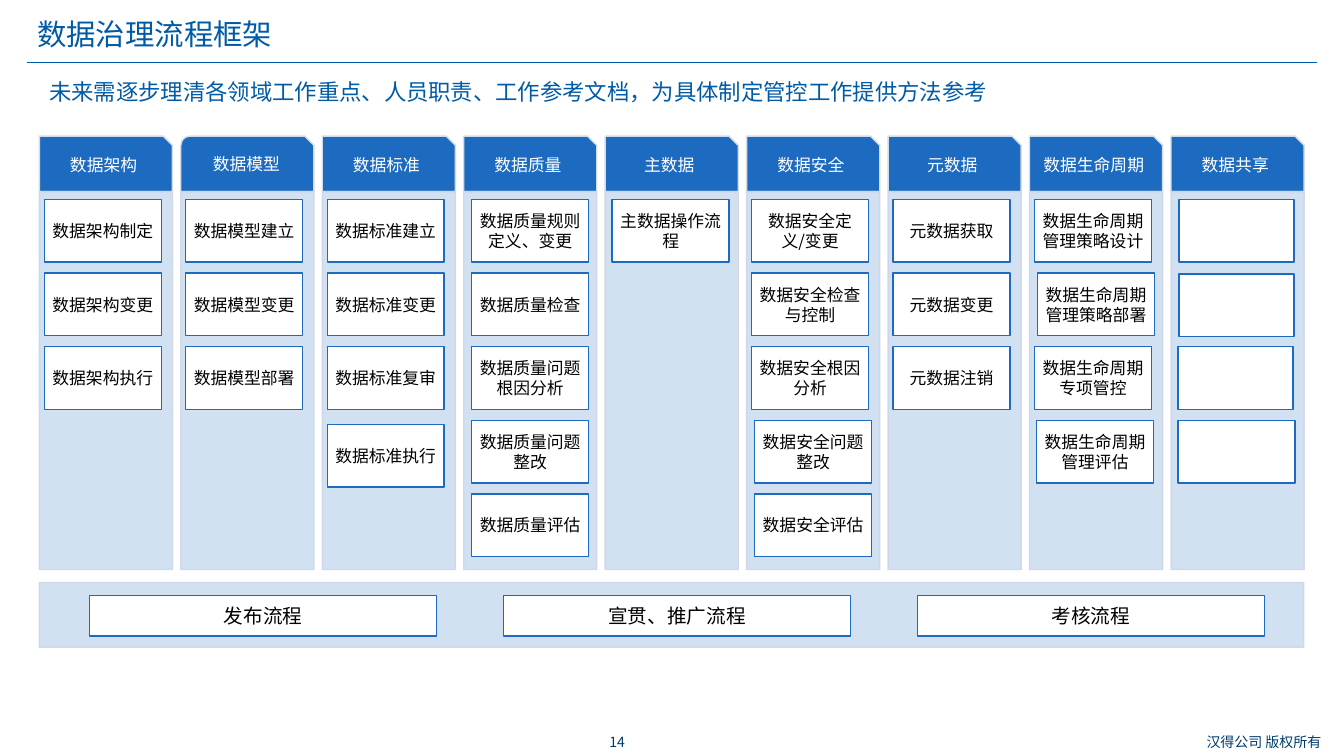
from dataclasses import dataclass

from lxml import etree
from pptx import Presentation
from pptx import util as u
from pptx.dml.color import RGBColor
from pptx.enum import shapes, text
from pptx.oxml import ns

SHAPE = shapes.MSO_SHAPE
ALIGN = text.PP_ALIGN
ANCHOR = text.MSO_ANCHOR


@dataclass(frozen=True)
class Theme:
    font: str = "Noto Sans CJK SC"
    title: str = "005BA6"
    footer: str = "003D6E"
    blue: str = "1C6BC0"
    panel_line: str = "CFD5EA"
    header_line: str = "D6DCE5"
    white: str = "FFFFFF"
    black: str = "000000"
    title_pt: float = 21
    subtitle_pt: float = 16
    flow_pt: float = 14
    card_pt: float = 12
    footer_pt: float = 10


T = Theme()


@dataclass(frozen=True)
class Box:
    left: float
    top: float
    width: float
    height: float

    def emu(self) -> list:
        return [u.Inches(v) for v in (self.left, self.top, self.width, self.height)]


@dataclass(frozen=True)
class Card:
    label: str
    dx: float = 0.05
    dy: float = 0
    width: float = 1.16


@dataclass(frozen=True)
class Column:
    name: str
    cards: tuple
    header: int = SHAPE.SNIP_1_RECTANGLE


COLUMNS = (
    Column("数据架构", (Card("数据架构制定"), Card("数据架构变更"), Card("数据架构执行"))),
    Column("数据模型", (Card("数据模型建立"), Card("数据模型变更"), Card("数据模型部署")),
           SHAPE.SNIP_ROUND_RECTANGLE),
    Column("数据标准", (Card("数据标准建立"), Card("数据标准变更"), Card("数据标准复审"),
                    Card("数据标准执行", dy=0.04))),
    Column("数据质量", (Card("数据质量规则定义、变更", 0.08), Card("数据质量检查", 0.08),
                    Card("数据质量问题根因分析", 0.08), Card("数据质量问题整改", 0.08),
                    Card("数据质量评估", 0.08))),
    Column("主数据", (Card("主数据操作流程", 0.07),)),
    Column("数据安全", (Card("数据安全定义/变更"), Card("数据安全检查与控制"),
                    Card("数据安全根因分析"), Card("数据安全问题整改", 0.08),
                    Card("数据安全评估", 0.08))),
    Column("元数据", (Card("元数据获取"), Card("元数据变更"), Card("元数据注销"))),
    Column("数据生命周期", (Card("数据生命周期管理策略设计"),
                      Card("数据生命周期管理策略部署", 0.08),
                      Card("数据生命周期专项管控"),
                      Card("数据生命周期管理评估", 0.07))),
    Column("数据共享", (Card("", 0.08, width=1.14), Card("", 0.08, 0.01, 1.14),
                    Card("", 0.07, width=1.14), Card("", 0.07))),
)
FLOWS = ("发布流程", "宣贯、推广流程", "考核流程")

COLUMN_LEFT, COLUMN_PITCH, COLUMN_WIDTH = 0.39, 1.403, 1.32
CARD_TOP, CARD_PITCH, CARD_HEIGHT = 1.98, 0.73, 0.62
FLOW_LEFT, FLOW_PITCH = 0.89, 4.105


def rgb(color: str) -> RGBColor:
    return RGBColor.from_string(color)


def set_alpha(fill_parent, percent: int) -> None:
    color = fill_parent.find(".//" + ns.qn("a:srgbClr"))
    etree.SubElement(color, ns.qn("a:alpha")).set("val", str(percent * 1000))


def write(sp, label: str, size: float, color: str, align=ALIGN.CENTER,
          anchor=ANCHOR.MIDDLE, inset: tuple = (0.1, 0.05), spacing: float = 1) -> None:
    tf = sp.text_frame
    tf.word_wrap = True
    tf.vertical_anchor = anchor
    tf.margin_left = tf.margin_right = u.Inches(inset[0])
    tf.margin_top = tf.margin_bottom = u.Inches(inset[1])
    tf.text = label
    p = tf.paragraphs[0]
    p.alignment = align
    p.line_spacing = spacing
    for r in p.runs:
        r.font.name = T.font
        r.font.size = u.Pt(size)
        r.font.color.rgb = rgb(color)
        ea = etree.SubElement(r.font._element, ns.qn("a:ea"))
        ea.set("typeface", T.font)


def add_block(s, box: Box, fill: str, line: str, kind: int = SHAPE.RECTANGLE):
    sp = s.shapes.add_shape(kind, *box.emu())
    sp.shadow.inherit = False
    sp.fill.solid()
    sp.fill.fore_color.rgb = rgb(fill)
    sp.line.color.rgb = rgb(line)
    sp.line.width = u.Pt(1)
    return sp


def add_panel(s, box: Box) -> None:
    sp = add_block(s, box, T.blue, T.panel_line)
    sp_pr = sp._element.spPr
    set_alpha(sp_pr.find(ns.qn("a:solidFill")), 20)
    set_alpha(sp_pr.find(ns.qn("a:ln")), 90)


def add_card(s, box: Box, label: str, size: float) -> None:
    sp = add_block(s, box, T.white, T.blue)
    if label:
        write(sp, label, size, T.black, inset=(0, 0.05))


def add_column(s, left: float, column: Column) -> None:
    header = add_block(s, Box(left, 1.35, COLUMN_WIDTH, 0.55), T.blue,
                       T.header_line, column.header)
    write(header, column.name, T.card_pt, T.white, inset=(0.12, 0.07), spacing=0.9)
    add_panel(s, Box(left, 1.9, COLUMN_WIDTH, 3.75))
    for row, card in enumerate(column.cards):
        top = CARD_TOP + row * CARD_PITCH + card.dy
        add_card(s, Box(left + card.dx, top, card.width, CARD_HEIGHT),
                 card.label, T.card_pt)


def add_text(s, box: Box, label: str, size: float, color: str, **layout) -> None:
    write(s.shapes.add_textbox(*box.emu()), label, size, color, **layout)


def main() -> None:
    prs = Presentation()
    prs.slide_width, prs.slide_height = u.Inches(13.33), u.Inches(7.5)
    s = prs.slides.add_slide(prs.slide_layouts[6])

    # Title, rule and subtitle
    heading = dict(align=ALIGN.LEFT, anchor=ANCHOR.TOP, spacing=0.9)
    add_text(s, Box(0.27, 0.15, 11.57, 0.42), "数据治理流程框架",
             T.title_pt, T.title, **heading)
    rule = s.shapes.add_connector(shapes.MSO_CONNECTOR.STRAIGHT, u.Inches(0.27),
                                  u.Inches(0.62), u.Inches(13.06), u.Inches(0.62))
    rule.line.color.rgb = rgb(T.title)
    rule.line.width = u.Pt(0.75)
    etree.SubElement(rule._element.spPr, ns.qn("a:effectLst"))
    add_text(s, Box(0.39, 0.76, 11.57, 0.34),
             "未来需逐步理清各领域工作重点、人员职责、工作参考文档，为具体制定管控工作提供方法参考",
             T.subtitle_pt, T.title, **heading)

    # Governance domains
    for i, column in enumerate(COLUMNS):
        add_column(s, COLUMN_LEFT + i * COLUMN_PITCH, column)

    # Shared flows
    add_panel(s, Box(0.39, 5.78, 12.54, 0.64))
    for i, flow in enumerate(FLOWS):
        add_card(s, Box(FLOW_LEFT + i * FLOW_PITCH, 5.91, 3.44, 0.4), flow, T.flow_pt)

    # Footer
    add_text(s, Box(5.77, 7.23, 0.7, 0.27), "14", T.footer_pt, T.footer)
    add_text(s, Box(11.74, 7.23, 1.59, 0.27), "汉得公司 版权所有", T.footer_pt, T.footer)

    prs.save("out.pptx")


if __name__ == "__main__":
    main()
